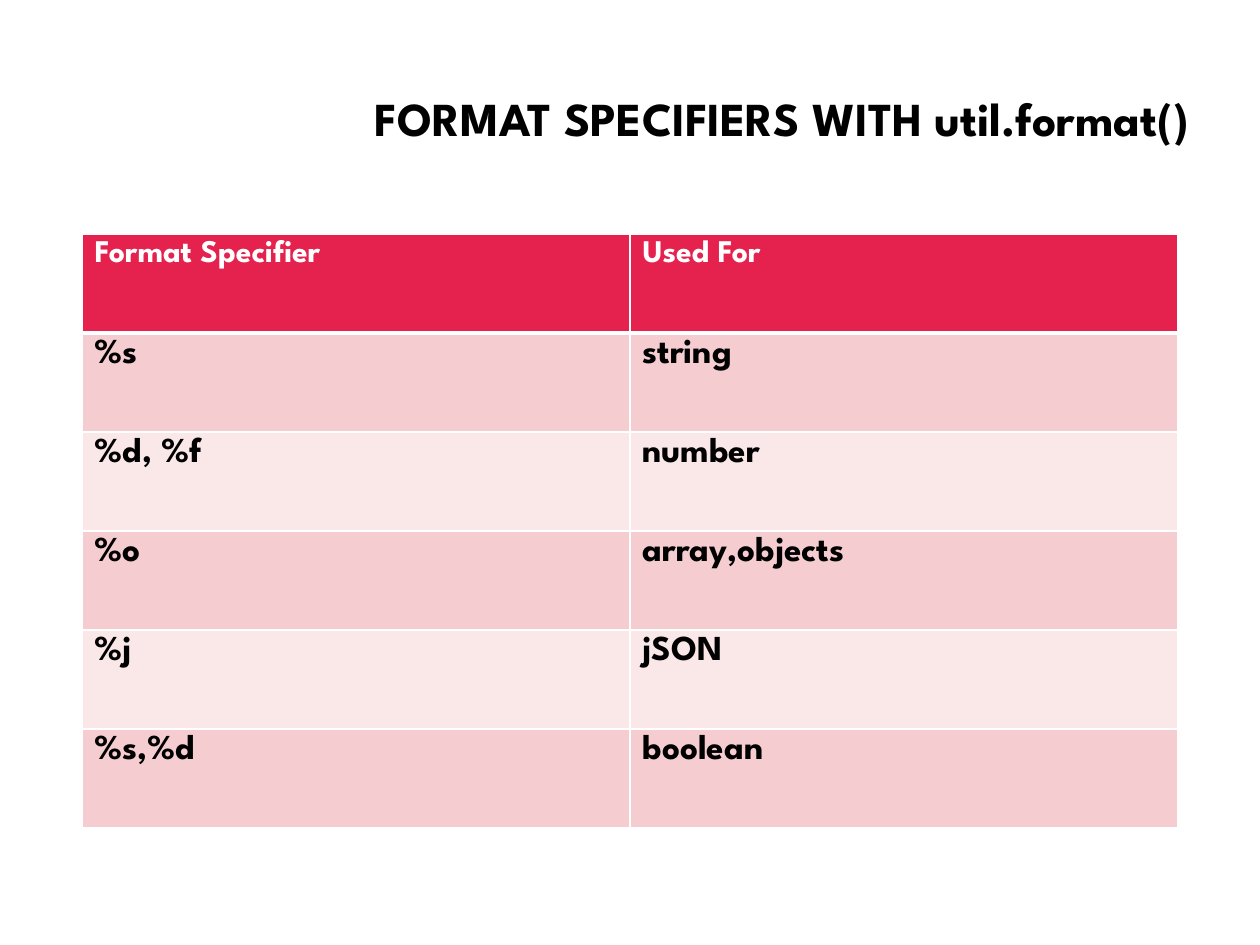
from lxml import etree
from pptx import Presentation
from pptx import util as u
from pptx.dml.color import RGBColor
from pptx.enum import text
from pptx.oxml.ns import qn

EMU_PER_PX = 914400 / 126
FONT = "League Spartan"
COLOURS = {
    "ink": "000000",
    "white": "FFFFFF",
    "header": "E5224E",
    "odd": "F5CDD0",
    "even": "FAE8E9",
}
ROWS = [
    ("Format Specifier", "Used For"),
    ("%s", "string"),
    ("%d, %f", "number"),
    ("%o", "array,objects"),
    ("%j", "jSON"),
    ("%s,%d", "boolean"),
]


def px(length):
    """Turn pixels into EMU."""
    return u.Emu(round(length * EMU_PER_PX))


def colour(name):
    """Look up a named colour."""
    return RGBColor.from_string(COLOURS[name])


def write(frame, words, size, ink="ink", align=text.PP_ALIGN.LEFT, spacing=1.0):
    """Put one bold formatted paragraph in a text frame."""
    paragraph = frame.paragraphs[0]
    paragraph.alignment = align
    paragraph.line_spacing = spacing
    run = paragraph.add_run()
    run.text = words
    run.font.name = FONT
    run.font.size = u.Pt(size)
    run.font.bold = True
    run.font.color.rgb = colour(ink)


def set_borders(cell, top=1, bottom=1):
    """Draw white cell borders with widths in points."""
    properties = cell._tc.get_or_add_tcPr()
    widths = {"a:lnL": 1, "a:lnR": 1, "a:lnT": top, "a:lnB": bottom}
    for index, (tag, width) in enumerate(widths.items()):
        line = etree.Element(qn(tag), w=str(u.Pt(width)))
        fill = etree.SubElement(line, qn("a:solidFill"))
        etree.SubElement(fill, qn("a:srgbClr"), val=COLOURS["white"])
        properties.insert(index, line)


def add_title(slide, words):
    """Place and format the title placeholder."""
    title = slide.shapes.title
    title.left, title.top, title.width, title.height = map(px, (233, 32, 968, 178))
    frame = title.text_frame
    frame.word_wrap = True
    frame.auto_size = text.MSO_AUTO_SIZE.NONE
    frame.vertical_anchor = text.MSO_ANCHOR.MIDDLE
    write(frame, words, 27, align=text.PP_ALIGN.RIGHT, spacing=0.9)


def add_specifier_table(slide, rows):
    """Add the banded table of specifiers below a header row."""
    column_count = len(rows[0])
    frame = slide.shapes.add_table(
        len(rows), column_count, px(82), px(234), px(548 * column_count), px(99 * len(rows))
    )
    for row_index, row in enumerate(rows):
        is_header = row_index == 0
        band = "header" if is_header else ("even", "odd")[row_index % 2]
        for column_index, words in enumerate(row):
            cell = frame.table.cell(row_index, column_index)
            cell.fill.solid()
            cell.fill.fore_color.rgb = colour(band)
            set_borders(cell, top=3 if row_index == 1 else 1, bottom=3 if is_header else 1)
            write(
                cell.text_frame,
                words,
                size=18 if is_header else 20,
                ink="white" if is_header else "ink",
            )


def main():
    """Build and save the slide."""
    presentation = Presentation()
    presentation.slide_width, presentation.slide_height = px(1260), px(945)
    slide = presentation.slides.add_slide(presentation.slide_layouts[5])
    add_title(slide, "FORMAT SPECIFIERS WITH util.format()")
    add_specifier_table(slide, ROWS)
    presentation.save("out.pptx")


if __name__ == "__main__":
    main()
